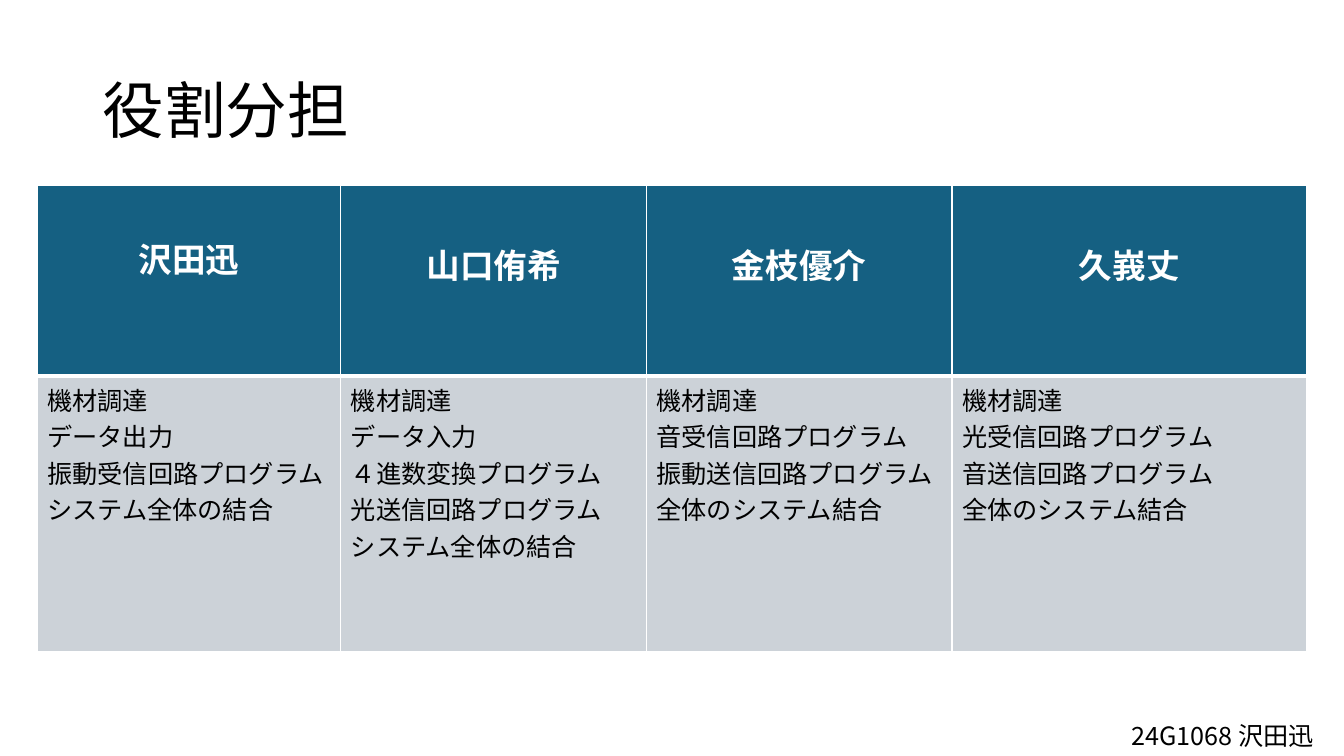
from dataclasses import dataclass

from lxml.etree import SubElement
from pptx import Presentation
from pptx.dml.color import RGBColor
from pptx.enum.text import MSO_ANCHOR, PP_ALIGN
from pptx.oxml import parse_xml
from pptx.oxml.ns import nsdecls, qn
from pptx.table import _Cell
from pptx.text.text import TextFrame
from pptx.util import Cm, Pt

FONT = "Noto Sans CJK JP"
BLACK = "000000"
WHITE = "FFFFFF"
HEADER_FILL = "156082"
BODY_FILL = "CCD2D8"
THIN, THICK = 1, 3


@dataclass(frozen=True)
class Member:
    name: str
    tasks: tuple[str, ...]
    column_width: float
    name_bottom_margin: float = 0.98


MEMBERS = (
    Member("沢田迅", ("機材調達", "データ出力", "振動受信回路プログラム",
                   "システム全体の結合"), 7.65, 1.29),
    Member("山口侑希", ("機材調達", "データ入力", "４進数変換プログラム",
                    "光送信回路プログラム", "システム全体の結合"), 7.7),
    Member("金枝優介", ("機材調達", "音受信回路プログラム",
                    "振動送信回路プログラム", "全体のシステム結合"), 7.7),
    Member("久峩丈", ("機材調達", "光受信回路プログラム",
                   "音送信回路プログラム", "全体のシステム結合"), 8.94),
)
ROW_HEIGHTS = (4.8, 6.93)


def color(value: str) -> RGBColor:
    return RGBColor.from_string(value)


def write(frame: TextFrame, *lines: str, size: float, text_color: str = BLACK,
          bold: bool = False, align: PP_ALIGN = PP_ALIGN.LEFT,
          line_spacing: float = 1.0) -> None:
    """Write one formatted paragraph for each line."""
    for index, line in enumerate(lines):
        paragraph = frame.add_paragraph() if index else frame.paragraphs[0]
        paragraph.alignment = align
        paragraph.line_spacing = line_spacing
        run = paragraph.add_run()
        run.text = line
        run.font.size = Pt(size)
        run.font.bold = bold
        run.font.color.rgb = color(text_color)
        run.font.name = FONT
        SubElement(run.font._element, qn("a:ea"), typeface=FONT)


def style_cell(cell: _Cell, fill: str, top: float, bottom: float) -> None:
    """Fill a cell and give it white borders of the given widths in points."""
    cell.fill.solid()
    cell.fill.fore_color.rgb = color(fill)
    properties = cell._tc.get_or_add_tcPr()
    widths = {"lnL": THIN, "lnR": THIN, "lnT": top, "lnB": bottom}
    for index, (tag, width) in enumerate(widths.items()):
        properties.insert(index, parse_xml(
            f'<a:{tag} {nsdecls("a")} w="{Pt(width)}"><a:solidFill>'
            f'<a:srgbClr val="{WHITE}"/></a:solidFill></a:{tag}>'))


def add_role_table(slide) -> None:
    width = sum(member.column_width for member in MEMBERS)
    table = slide.shapes.add_table(
        len(ROW_HEIGHTS), len(MEMBERS), Cm(0.94), Cm(4.68),
        Cm(width), Cm(sum(ROW_HEIGHTS))).table
    table.horz_banding = False
    for row, height in zip(table.rows, ROW_HEIGHTS):
        row.height = Cm(height)
    for index, member in enumerate(MEMBERS):
        table.columns[index].width = Cm(member.column_width)
        header, body = table.cell(0, index), table.cell(1, index)
        style_cell(header, HEADER_FILL, top=THIN, bottom=THICK)
        style_cell(body, BODY_FILL, top=THICK, bottom=THIN)
        header.vertical_anchor = MSO_ANCHOR.MIDDLE
        header.margin_bottom = Cm(member.name_bottom_margin)
        write(header.text_frame, member.name, size=24, text_color=WHITE,
              bold=True, align=PP_ALIGN.CENTER)
        write(body.text_frame, *member.tasks, size=18)


def main() -> None:
    presentation = Presentation()
    presentation.slide_width = Cm(33.87)
    presentation.slide_height = Cm(19.05)
    slide = presentation.slides.add_slide(presentation.slide_layouts[5])

    title = slide.shapes.title
    title.left, title.top = Cm(2.33), Cm(1.01)
    title.width, title.height = Cm(29.21), Cm(3.68)
    title.text_frame.vertical_anchor = MSO_ANCHOR.MIDDLE
    write(title.text_frame, "役割分担", size=44, line_spacing=0.9)

    add_role_table(slide)

    author = slide.shapes.add_textbox(Cm(28.27), Cm(18.03), Cm(5.58), Cm(1.02))
    author.text_frame.word_wrap = True
    write(author.text_frame, "24G1068 沢田迅", size=18)

    presentation.save("out.pptx")


if __name__ == "__main__":
    main()
